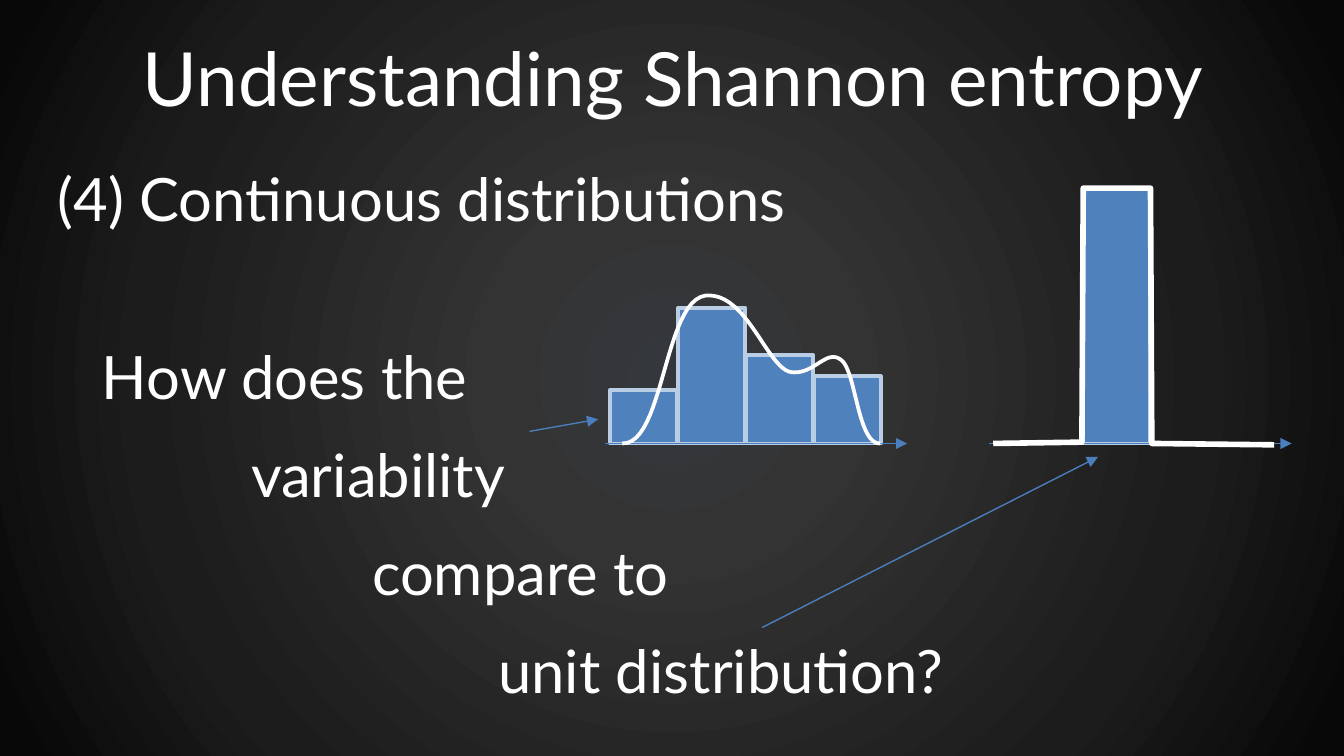
from lxml.etree import SubElement
from pptx import Presentation
from pptx.dml.color import RGBColor
from pptx.enum.shapes import MSO_CONNECTOR as Connector, MSO_SHAPE as Shape
from pptx.enum.text import MSO_ANCHOR as Anchor, MSO_AUTO_SIZE as AutoSize, PP_ALIGN as Align
from pptx.oxml import parse_xml
from pptx.oxml.ns import nsdecls, qn
from pptx.util import Inches, Pt

WIDTH = 10
HEIGHT = WIDTH * 9 / 16
FONT, WHITE = "Lato", "FFFFFF"
BAR_FILL, BAR_EDGE, ARROW_BLUE = "4F81BD", "B9CDE5", "4B7EBC"
BACKDROP_STOPS = [(0, "34383C"), (23, "333333"), (69, "1C1C1C"), (97, "080808")]

TITLE = "Understanding Shannon entropy"
TOPIC = "(4) Continuous distributions"
QUESTION = [
    ("How does the", 0.66, 3.27),
    ("variability", 1.77, 2.45),
    ("compare to", 2.67, 2.8),
    ("unit distribution?", 3.61, 4.14),
]
QUESTION_TOP, QUESTION_STEP, LINE_HEIGHT = 2.48, 0.73, 0.64

BASELINE, BAR_WIDTH = 3.3, 0.5
HISTOGRAM_LEFT, HISTOGRAM_STEP = 4.54, 0.505
HISTOGRAM_HEIGHTS = [0.4, 1.01, 0.66, 0.5]
UNIT_LEFT, UNIT_HEIGHT = 8.06, 1.9
AXES = [((4.5, BASELINE), (6.75, BASELINE)), ((7.36, BASELINE), (9.61, BASELINE))]
POINTERS = [((5.67, 4.67), (8.17, 3.4)), ((3.94, 3.21), (4.45, 3.12))]

DENSITY_START = (4.63, 3.3)
DENSITY_CURVES = [
    [(4.94, 3.31), (4.94, 2.24), (5.25, 2.2)],
    [(5.56, 2.17), (5.71, 2.75), (5.89, 2.77)],
    [(6.06, 2.79), (6.15, 2.59), (6.26, 2.68)],
    [(6.37, 2.76), (6.38, 3.31), (6.55, 3.3)],
]
UNIT_OUTLINE = [(7.39, 3.3), (8.05, 3.29), (8.06, 1.4), (8.56, 1.4), (8.57, 3.3), (9.48, 3.31)]


def color(hex_value):
    return RGBColor.from_string(hex_value)


def place(shape, left, top, width, height):
    shape.left, shape.top = Inches(left), Inches(top)
    shape.width, shape.height = Inches(width), Inches(height)


def write(shape, text, size, align=Align.LEFT):
    frame = shape.text_frame
    frame.text = text
    frame.word_wrap = True
    frame.auto_size = AutoSize.NONE
    frame.vertical_anchor = Anchor.TOP
    paragraph = frame.paragraphs[0]
    paragraph.alignment = align
    paragraph.space_before = Pt(0)
    font = paragraph.runs[0].font
    font.name, font.size = FONT, Pt(size)
    font.color.rgb = color(WHITE)
    return paragraph


def add_backdrop(slide):
    backdrop = slide.shapes.add_shape(Shape.RECTANGLE, 0, 0, Inches(WIDTH), Inches(HEIGHT))
    backdrop.shadow.inherit = False
    backdrop.line.fill.background()
    stops = "".join(
        f'<a:gs pos="{share * 1000}"><a:srgbClr val="{tone}"/></a:gs>'
        for share, tone in BACKDROP_STOPS
    )
    gradient = parse_xml(
        f'<a:gradFill {nsdecls("a")} rotWithShape="1"><a:gsLst>{stops}</a:gsLst>'
        '<a:path path="circle"><a:fillToRect l="50000" t="50000" r="50000" b="50000"/>'
        "</a:path></a:gradFill>"
    )
    backdrop._element.spPr.find(qn("a:prstGeom")).addnext(gradient)
    slide.shapes._spTree.insert(2, backdrop._element)


def add_bar(slide, left, height):
    bar = slide.shapes.add_shape(
        Shape.RECTANGLE, Inches(left), Inches(BASELINE - height), Inches(BAR_WIDTH), Inches(height)
    )
    bar.shadow.inherit = False
    bar.fill.solid()
    bar.fill.fore_color.rgb = color(BAR_FILL)
    bar.line.color.rgb = color(BAR_EDGE)
    bar.line.width = Pt(2)


def add_arrow(slide, start, end):
    arrow = slide.shapes.add_connector(Connector.STRAIGHT, *map(Inches, start + end))
    arrow.line.color.rgb = color(ARROW_BLUE)
    arrow.line.width = Pt(0.75)
    SubElement(arrow.line._get_or_add_ln(), qn("a:tailEnd"), type="triangle")
    SubElement(arrow._element.spPr, qn("a:effectLst"))


def add_outline(slide, points, weight):
    start, *rest = [(Inches(x), Inches(y)) for x, y in points]
    builder = slide.shapes.build_freeform(*start)
    builder.add_line_segments(rest, close=False)
    outline = builder.convert_to_shape()
    outline.shadow.inherit = False
    outline.fill.background()
    outline.line.color.rgb = color(WHITE)
    outline.line.width = Pt(weight)


def trace(start, curves, steps=24):
    points = [start]
    for curve in curves:
        corners = [points[-1], *curve]
        for step in range(1, steps + 1):
            t = step / steps
            weights = [(1 - t) ** 3, 3 * t * (1 - t) ** 2, 3 * t**2 * (1 - t), t**3]
            points.append(tuple(sum(w * c[i] for w, c in zip(weights, corners)) for i in (0, 1)))
    return points


def main():
    deck = Presentation()
    deck.slide_width, deck.slide_height = Inches(WIDTH), Inches(HEIGHT)
    slide = deck.slides.add_slide(deck.slide_layouts[1])
    slide.background.fill.solid()
    slide.background.fill.fore_color.rgb = color("000000")
    add_backdrop(slide)

    title, topic = slide.placeholders
    place(title, 0.24, 0.19, 9.53, 0.77)
    write(title, TITLE, 40, Align.CENTER)
    place(topic, 0.33, 1.15, 6.53, LINE_HEIGHT)
    properties = write(topic, TOPIC, 32)._p.get_or_add_pPr()
    properties.set("marL", "0")
    properties.set("indent", "0")
    SubElement(properties, qn("a:buNone"))

    for index, height in enumerate(HISTOGRAM_HEIGHTS):
        add_bar(slide, HISTOGRAM_LEFT + index * HISTOGRAM_STEP, height)
    add_bar(slide, UNIT_LEFT, UNIT_HEIGHT)
    for start, end in AXES + POINTERS:
        add_arrow(slide, start, end)
    add_outline(slide, trace(DENSITY_START, DENSITY_CURVES), 2)
    add_outline(slide, UNIT_OUTLINE, 3)

    for row, (words, left, width) in enumerate(QUESTION):
        top = QUESTION_TOP + row * QUESTION_STEP
        line = slide.shapes.add_textbox(*map(Inches, (left, top, width, LINE_HEIGHT)))
        write(line, words, 32)

    deck.save("out.pptx")


if __name__ == "__main__":
    main()
